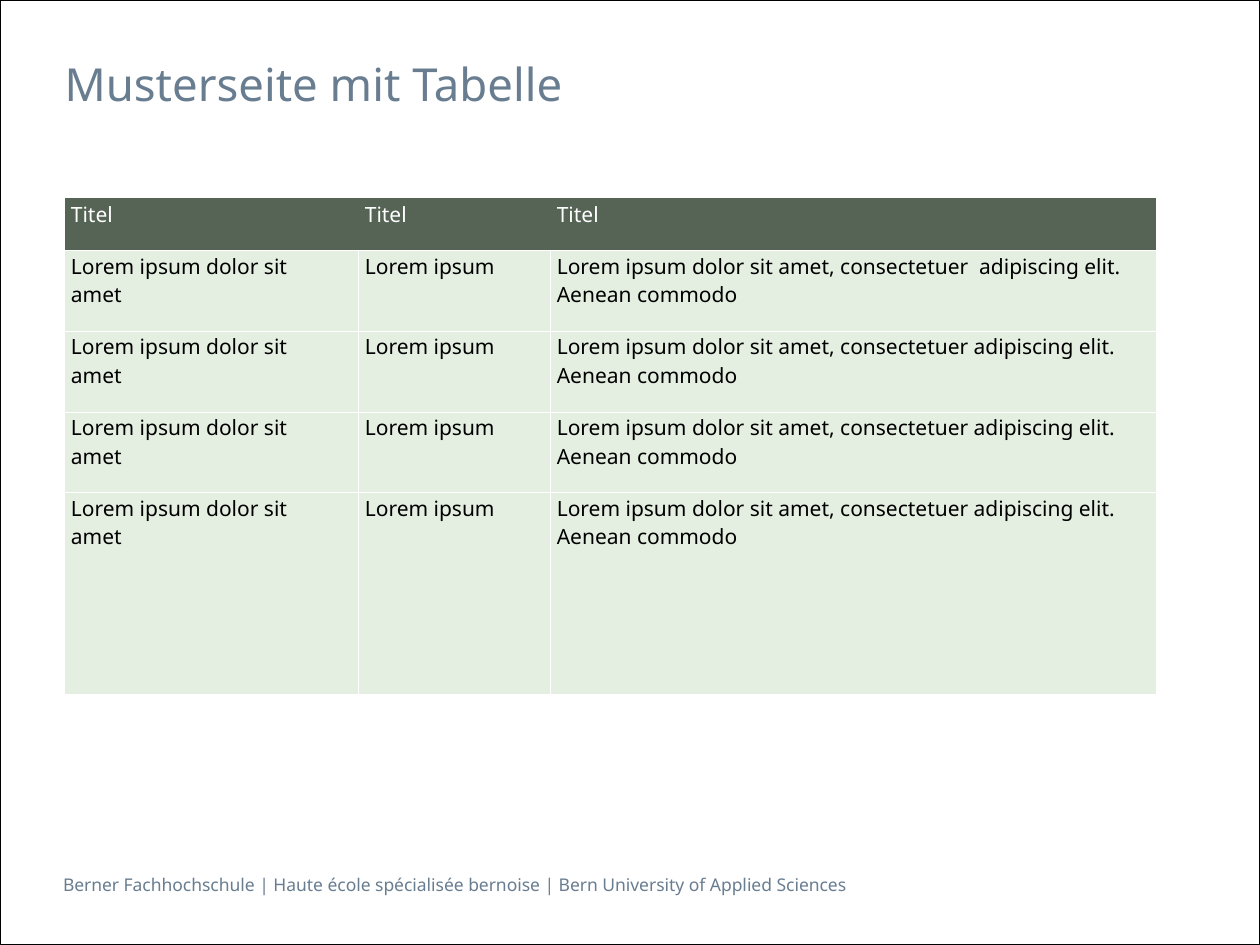
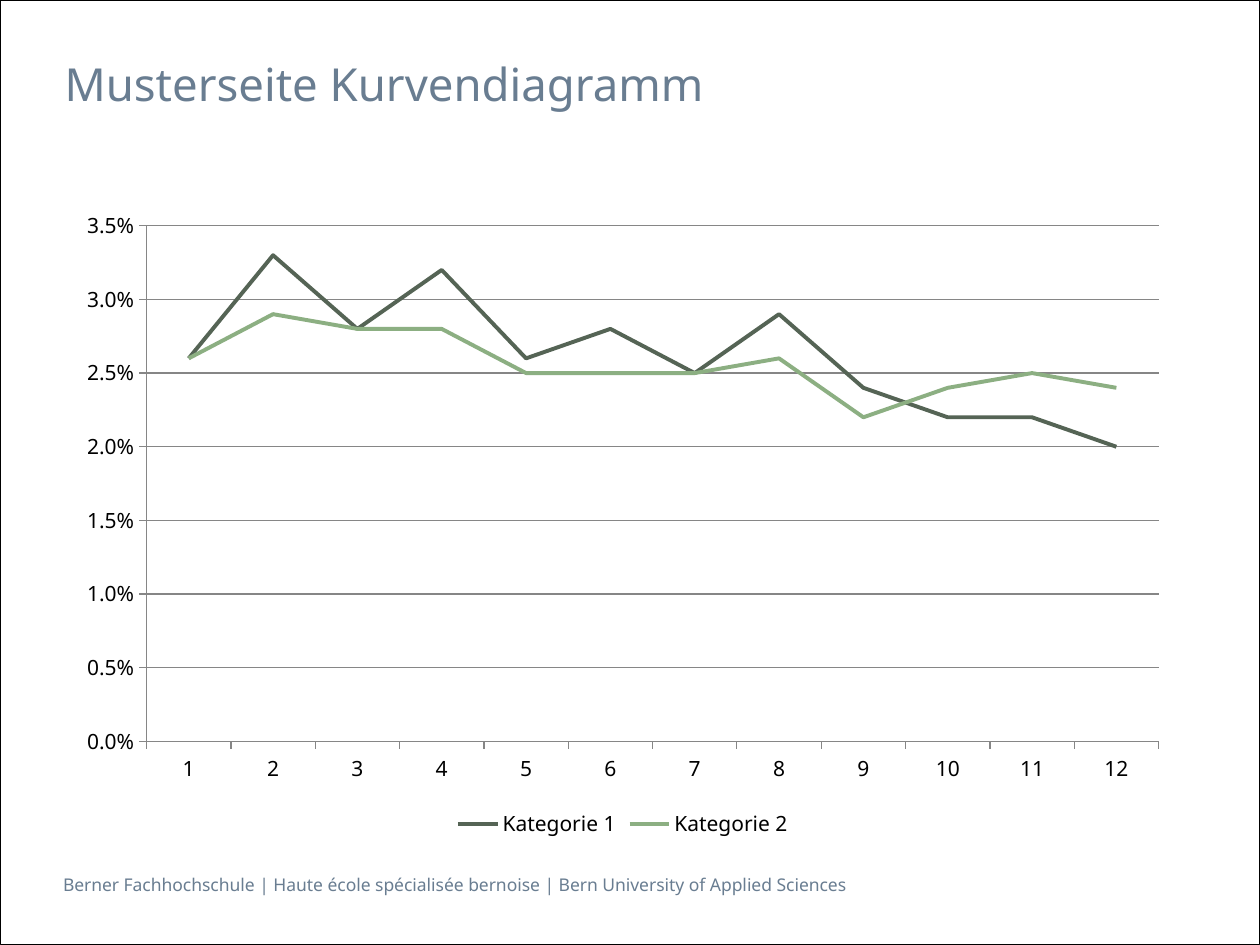
from lxml.etree import SubElement
from pptx import Presentation
from pptx.chart.data import CategoryChartData
from pptx.dml.color import RGBColor
from pptx.enum.chart import XL_CHART_TYPE, XL_LEGEND_POSITION, XL_MARKER_STYLE, XL_TICK_MARK
from pptx.enum.shapes import MSO_SHAPE
from pptx.enum.text import MSO_ANCHOR
from pptx.oxml.ns import qn
from pptx.util import Inches, Pt

SLATE = RGBColor(0x69, 0x7D, 0x91)
DARK_GREEN = RGBColor(0x55, 0x64, 0x55)
LEAF_GREEN = RGBColor(0x8C, 0xAF, 0x82)
PALE_GREEN = RGBColor(0xE4, 0xEF, 0xE1)
GREY = RGBColor(0x86, 0x86, 0x86)
BLACK = RGBColor(0, 0, 0)
WHITE = RGBColor(255, 255, 255)
FONT = "Noto Sans"

deck = Presentation()
deck.slide_width = Inches(10)
deck.slide_height = Inches(7.5)
COLUMN = deck.slide_width // 100
ROW = deck.slide_height // 100
LEFT = int(5.13 * COLUMN)
CONTENT_TOP = 21 * ROW
CONTENT_WIDTH = int(88.6 * COLUMN)


def write(frame, text, size=12, color=BLACK, indent=0):
    frame.word_wrap = True
    frame.text = text
    for paragraph in frame.paragraphs:
        if indent:
            paragraph._p.get_or_add_pPr().set("marL", str(indent))
        for run in paragraph.runs:
            run.font.name = FONT
            run.font.size = Pt(size)
            run.font.bold = False
            run.font.color.rgb = color


def border(cell, visible_sides):
    properties = cell._tc.get_or_add_tcPr()
    for position, side in enumerate(("lnL", "lnR", "lnT", "lnB")):
        line = SubElement(properties, qn(f"a:{side}"), w=str(Pt(0.5)))
        if side in visible_sides:
            SubElement(SubElement(line, qn("a:solidFill")), qn("a:srgbClr"), val=str(WHITE))
        else:
            SubElement(line, qn("a:noFill"))
        properties.insert(position, line)


FOOTER = "Berner Fachhochschule | Haute école spécialisée bernoise | Bern University of Applied Sciences"
slides = []
for title in ("Musterseite mit Tabelle", "Musterseite Kurvendiagramm"):
    slide = deck.slides.add_slide(deck.slide_layouts[6])
    slides.append(slide)
    edge = slide.shapes.add_shape(MSO_SHAPE.RECTANGLE, 0, 0, deck.slide_width, deck.slide_height)
    edge.shadow.inherit = False
    edge.fill.background()
    edge.line.color.rgb = BLACK
    edge.line.width = Pt(0.5)
    for text, left, top, width, height, size in (
        (FOOTER, 5 * COLUMN, 91.87, 73.1, 3.6, 10),
        (title, LEFT, 5.28, 88.6, 7.87, 26),
    ):
        box = slide.shapes.add_textbox(left, int(top * ROW), int(width * COLUMN), int(height * ROW))
        box.text_frame.margin_left = box.text_frame.margin_right = 0
        write(box.text_frame, text, size=size, color=SLATE)

table_slide, chart_slide = slides

SENTENCE = "Lorem ipsum dolor sit amet, consectetuer adipiscing elit. Aenean commodo"
SPACED_SENTENCE = SENTENCE.replace("consectetuer ", "consectetuer  ")
table_rows = [["Titel"] * 3]
for sentence in [SPACED_SENTENCE] + [SENTENCE] * 3:
    table_rows.append(["Lorem ipsum dolor sit\namet", "Lorem ipsum", sentence])
column_shares = (23.33, 15.24, 48.05)
row_shares = (5.5, 8.55, 8.55, 8.55, 21.33)

table = table_slide.shapes.add_table(
    len(row_shares), len(column_shares), LEFT, CONTENT_TOP,
    int(sum(column_shares) * COLUMN), int(sum(row_shares) * ROW),
).table
for table_column, share in zip(table.columns, column_shares):
    table_column.width = int(share * COLUMN)
for table_row, share in zip(table.rows, row_shares):
    table_row.height = int(share * ROW)
for row_index, texts in enumerate(table_rows):
    is_header = row_index == 0
    for column_index, text in enumerate(texts):
        cell = table.cell(row_index, column_index)
        cell.margin_left = cell.margin_right = cell.margin_top = Inches(0.01)
        cell.margin_bottom = 0
        cell.vertical_anchor = MSO_ANCHOR.TOP
        cell.fill.solid()
        cell.fill.fore_color.rgb = DARK_GREEN if is_header else PALE_GREEN
        write(cell.text_frame, text, color=WHITE if is_header else BLACK, indent=Inches(0.04))
        border(cell, ("lnB",) if is_header else ("lnL", "lnR", "lnT", "lnB"))

curves = {
    "Kategorie 1": (0.026, 0.033, 0.028, 0.032, 0.026, 0.028, 0.025, 0.029, 0.024, 0.022, 0.022, 0.02),
    "Kategorie 2": (0.026, 0.029, 0.028, 0.028, 0.025, 0.025, 0.025, 0.026, 0.022, 0.024, 0.025, 0.024),
}
curve_data = CategoryChartData(number_format="0.0%")
curve_data.categories = [str(number) for number in range(1, 13)]
for name, values in curves.items():
    curve_data.add_series(name, values)

chart = chart_slide.shapes.add_chart(
    XL_CHART_TYPE.LINE, LEFT, CONTENT_TOP, CONTENT_WIDTH, int(68.27 * ROW), curve_data
).chart
chart.has_title = False
chart.font.name = FONT
chart.font.size = Pt(12)
chart.font.color.rgb = BLACK
chart.has_legend = True
chart.legend.position = XL_LEGEND_POSITION.BOTTOM
chart.legend.include_in_layout = False
chart.plots[0].vary_by_categories = False

percent_axis = chart.value_axis
percent_axis.minimum_scale = 0
percent_axis.maximum_scale = 0.035
percent_axis.major_unit = 0.005
percent_axis.tick_labels.number_format = "0.0%"
percent_axis.tick_labels.number_format_is_linked = False
percent_axis.has_major_gridlines = True
for axis in (percent_axis, chart.category_axis):
    axis.major_tick_mark = XL_TICK_MARK.OUTSIDE
for ruled in (percent_axis, chart.category_axis, percent_axis.major_gridlines):
    ruled.format.line.color.rgb = GREY
    ruled.format.line.width = Pt(0.75)
for curve, color in zip(chart.plots[0].series, (DARK_GREEN, LEAF_GREEN)):
    curve.smooth = False
    curve.marker.style = XL_MARKER_STYLE.NONE
    curve.format.line.color.rgb = color
    curve.format.line.width = Pt(2.25)

deck.save("out.pptx")
